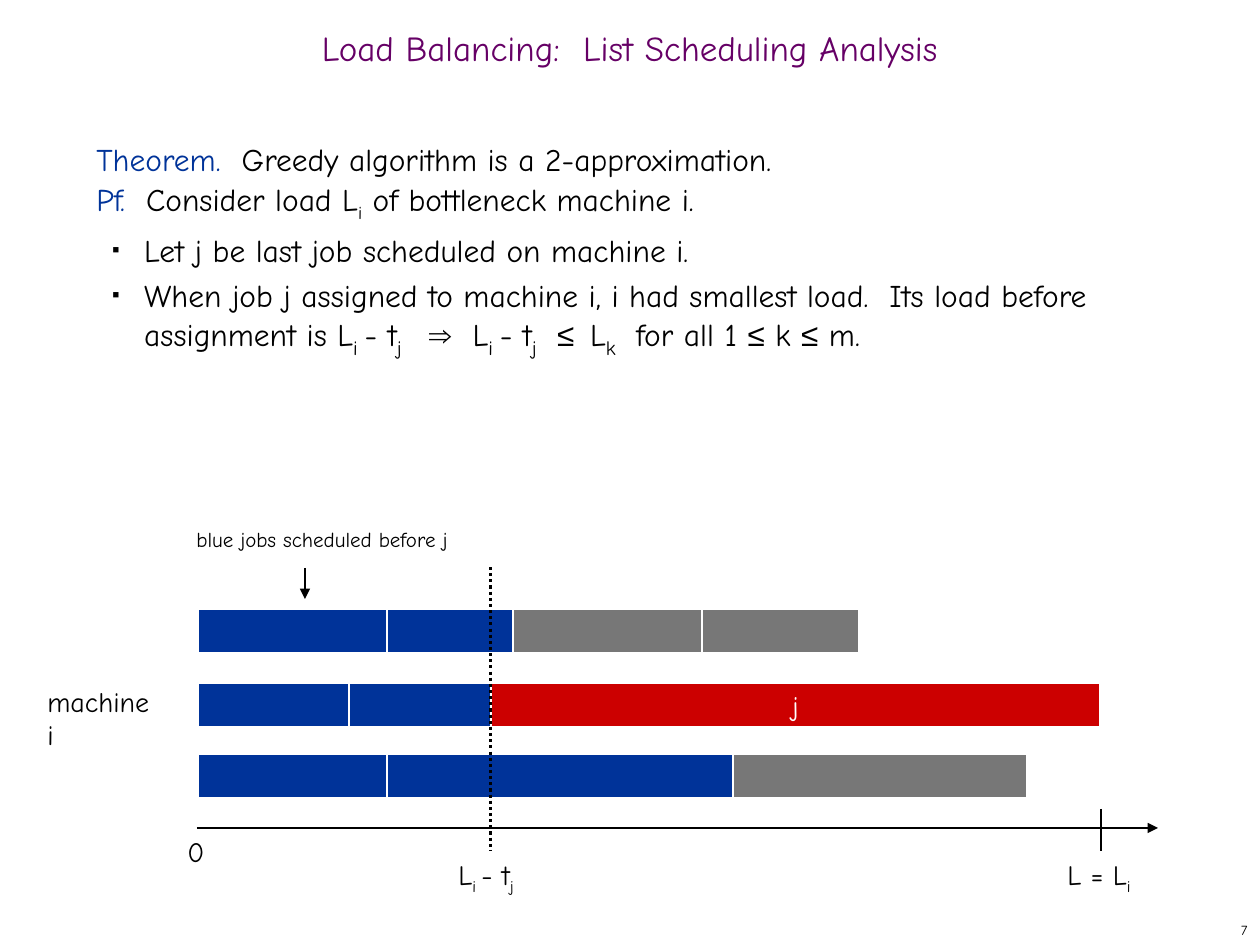
import itertools
from dataclasses import dataclass

import pptx
import pptx.dml.color
import pptx.enum.dml
import pptx.enum.shapes
import pptx.enum.text
import pptx.oxml.ns
import pptx.util
from lxml import etree

PX = 914400 / 126
FONT = "Comic Neue"
COLORS = {
    "title": "660066",
    "blue": "003399",
    "red": "CC0000",
    "gray": "777777",
    "black": "000000",
    "white": "FFFFFF",
}
BAR_LEFT, BAR_HEIGHT = 198, 44
START, FINISH = 491, 1101


@dataclass
class Run:
    text: str
    color: str = "black"
    size: int = 0
    sub: bool = False
    font: str = FONT


@dataclass
class Machine:
    top: int
    edges: list[int]
    fills: list[str]


@dataclass
class Line:
    start: tuple[int, int]
    end: tuple[int, int]
    width: float
    arrow: bool = False
    dotted: bool = False


@dataclass
class Label:
    box: tuple[int, int, int, int]
    runs: list[Run]
    size: int = 16
    before: int = 10
    wrap: bool = True


def sub(text: str, size: int = 0) -> Run:
    return Run(text, size=size, sub=True)


def symbol(text: str) -> Run:
    return Run(text, font="Arial")


def emu(*px: int) -> list[int]:
    return [round(v * PX) for v in px]


def rgb(name: str) -> pptx.dml.color.RGBColor:
    return pptx.dml.color.RGBColor.from_string(COLORS[name])


def add_runs(p, runs: list[Run], size: int) -> None:
    for run in runs:
        r = p.add_run()
        r.text = run.text
        r.font.name = run.font
        r.font.size = pptx.util.Pt(run.size or size)
        r.font.color.rgb = rgb(run.color)
        if run.sub:
            r.font._element.set("baseline", "-25000")


def add_bullet(p) -> None:
    pPr = p._p.get_or_add_pPr()
    pPr.set("marL", str(round(0.38 * 914400)))
    pPr.set("indent", str(round(-0.25 * 914400)))
    qn = pptx.oxml.ns.qn
    color = etree.SubElement(pPr, qn("a:buClr"))
    etree.SubElement(color, qn("a:srgbClr"), val=COLORS["black"])
    etree.SubElement(pPr, qn("a:buSzPct"), val="35000")
    etree.SubElement(pPr, qn("a:buFont"), typeface="Arial")
    etree.SubElement(pPr, qn("a:buChar"), char="■")


def add_title(s, text: str) -> None:
    sp = s.shapes.title
    sp.left, sp.top, sp.width, sp.height = emu(0, 21, 1260, 63)
    tf = sp.text_frame
    tf.word_wrap = True
    tf.auto_size = pptx.enum.text.MSO_AUTO_SIZE.NONE
    tf.vertical_anchor = pptx.enum.text.MSO_ANCHOR.MIDDLE
    p = tf.paragraphs[0]
    p.alignment = pptx.enum.text.PP_ALIGN.CENTER
    p.line_spacing = 0.7
    add_runs(p, [Run(text, "title")], 20)


def add_body(s, plain: list[list[Run]], bullets: list[list[Run]]) -> None:
    tf = s.shapes.add_textbox(*emu(84, 126, 1081, 746)).text_frame
    tf.word_wrap = True
    for i, runs in enumerate(plain + bullets):
        p = tf.add_paragraph() if i else tf.paragraphs[0]
        p.line_spacing = pptx.util.Pt(26)
        if i >= len(plain):
            add_bullet(p)
        add_runs(p, runs, 18)


def add_machine(s, machine: Machine) -> None:
    for (left, right), fill in zip(itertools.pairwise(machine.edges), machine.fills):
        sp = s.shapes.add_shape(
            pptx.enum.shapes.MSO_SHAPE.RECTANGLE,
            *emu(left, machine.top, right - left, BAR_HEIGHT),
        )
        sp.shadow.inherit = False
        sp.fill.solid()
        sp.fill.fore_color.rgb = rgb(fill)
        sp.line.color.rgb = rgb("white")
        sp.line.width = pptx.util.Pt(0.75)
        if fill == "red":
            tf = sp.text_frame
            tf.word_wrap = False
            tf.vertical_anchor = pptx.enum.text.MSO_ANCHOR.MIDDLE
            p = tf.paragraphs[0]
            p.alignment = pptx.enum.text.PP_ALIGN.CENTER
            add_runs(p, [Run("j", "white")], 16)


def add_line(s, line: Line) -> None:
    cxn = s.shapes.add_connector(
        pptx.enum.shapes.MSO_CONNECTOR.STRAIGHT, *emu(*line.start, *line.end)
    )
    cxn.line.color.rgb = rgb("black")
    cxn.line.width = pptx.util.Pt(line.width)
    qn = pptx.oxml.ns.qn
    if line.dotted:
        cxn.line.dash_style = pptx.enum.dml.MSO_LINE.ROUND_DOT
    if line.arrow:
        etree.SubElement(cxn.line._get_or_add_ln(), qn("a:tailEnd"), type="triangle")
    etree.SubElement(cxn._element.spPr, qn("a:effectLst"))


def add_label(s, label: Label) -> None:
    tf = s.shapes.add_textbox(*emu(*label.box)).text_frame
    tf.word_wrap = label.wrap
    tf.auto_size = pptx.enum.text.MSO_AUTO_SIZE.SHAPE_TO_FIT_TEXT
    p = tf.paragraphs[0]
    p.space_before = pptx.util.Pt(label.before)
    add_runs(p, label.runs, label.size)


def add_page_number(s, number: str) -> None:
    tf = s.shapes.add_textbox(*emu(998, 914, 262, 31)).text_frame
    tf.word_wrap = True
    tf.vertical_anchor = pptx.enum.text.MSO_ANCHOR.MIDDLE
    p = tf.paragraphs[0]
    p.alignment = pptx.enum.text.PP_ALIGN.RIGHT
    add_runs(p, [Run(number)], 8)


PLAIN = [
    [Run("Theorem.  ", "blue"), Run("Greedy algorithm is a 2-approximation.")],
    [Run("Pf.  ", "blue"), Run("Consider load L"), sub("i"), Run(" of bottleneck machine i.")],
]
BULLETS = [
    [Run("Let j be last job scheduled on machine i.")],
    [
        Run("When job j assigned to machine i, i had smallest load.  "
            "Its load before assignment is L"),
        sub("i ", 20), Run("- t"), sub("j    ", 20), symbol("⇒"),
        Run("  L"), sub("i ", 20), Run("- t"), sub("j   ", 20), symbol("≤ "),
        sub(" ", 20), Run("L"), sub("k   ", 20),
        Run("for all 1 "), symbol("≤"), Run(" k "), symbol("≤"), Run(" m."),
    ],
]
MACHINES = [
    Machine(609, [BAR_LEFT, 387, 513, 702, 859], ["blue", "blue", "gray", "gray"]),
    Machine(683, [BAR_LEFT, 349, START, FINISH - 1], ["blue", "blue", "red"]),
    Machine(754, [BAR_LEFT, 387, 733, 1027], ["blue", "blue", "gray"]),
]
LINES = [
    Line((197, 828), (1158, 828), 1.25, arrow=True),
    Line((FINISH, 809), (FINISH, 851), 1.25),
    Line((START, 567), (START, 851), 1.75, dotted=True),
    Line((305, 568), (305, 599), 0.75, arrow=True),
]
LABELS = [
    Label((175, 828, 67, 47), [Run("0")]),
    Label((1055, 851, 141, 50), [Run("L = L"), sub("i")]),
    Label((446, 851, 141, 50), [Run("L"), sub("i "), Run("- t"), sub("j")]),
    Label((35, 678, 142, 47), [Run("machine i")], wrap=False),
    Label((184, 520, 278, 38), [Run("blue jobs scheduled before j")], 12, 0, False),
]


def main() -> None:
    prs = pptx.Presentation()
    prs.slide_width, prs.slide_height = emu(1260, 945)
    s = prs.slides.add_slide(prs.slide_layouts[5])
    add_title(s, "Load Balancing:  List Scheduling Analysis")
    add_body(s, PLAIN, BULLETS)
    for draw, items in ((add_machine, MACHINES), (add_line, LINES), (add_label, LABELS)):
        for item in items:
            draw(s, item)
    add_page_number(s, "7")
    prs.save("out.pptx")


if __name__ == "__main__":
    main()
